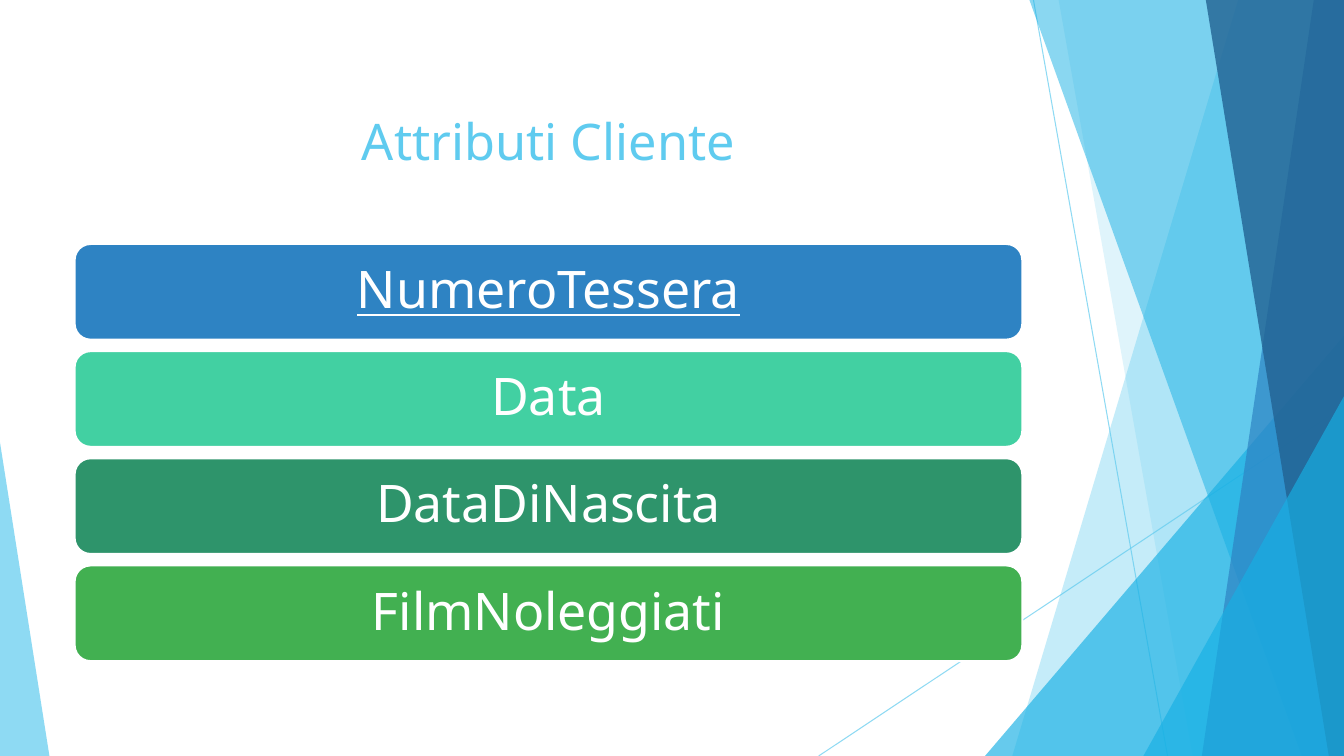
from typing import NamedTuple

from lxml.etree import SubElement
from pptx import Presentation
from pptx.dml.color import RGBColor
from pptx.enum.shapes import MSO_CONNECTOR as Connector, MSO_SHAPE as Shape
from pptx.enum.text import MSO_ANCHOR as Anchor, PP_ALIGN as Align
from pptx.oxml.ns import qn
from pptx.util import Inches, Pt

WIDTH, HEIGHT = 13.33, 7.5
SKY, CYAN, BLUE, NAVY, WHITE = "5FCBEF", "17B0E4", "2E83C3", "226292", "FFFFFF"


class Ray(NamedTuple):
    """A thin line across the background."""
    start: tuple[float, float]
    end: tuple[float, float]


class Band(NamedTuple):
    """A slanted band that runs from top to bottom along the right edge."""
    top: float
    bottom: float
    color: str
    opacity: int


class Corner(NamedTuple):
    """A right triangle standing on the bottom edge."""
    left: float
    top: float
    width: float
    apex: int
    color: str
    opacity: int


class Attribute(NamedTuple):
    """An attribute of the customer, shown as a bar."""
    label: str
    color: str
    is_key: bool = False


RAYS = [Ray((10.25, 0), (11.58, HEIGHT)), Ray((WIDTH, 4.03), (8.12, HEIGHT))]
DECORATION = [
    Band(12.28, 10.04, SKY, 36),
    Band(10.5, 11.83, SKY, 20),
    Corner(9.77, 3.33, 3.56, 1, CYAN, 66),
    Band(10.21, 12.91, CYAN, 50),
    Band(13.03, 11.92, BLUE, 70),
    Band(11.96, 13.18, NAVY, 80),
    Corner(11.34, 3.93, 1.99, 1, CYAN, 66),
    Corner(0, 4.39, 0.49, 0, SKY, 70),
]
ATTRIBUTES = [
    Attribute("NumeroTessera", BLUE, is_key=True),
    Attribute("Data", "42D0A2"),
    Attribute("DataDiNascita", "2E946B"),
    Attribute("FilmNoleggiati", "42B051"),
]
CONTENT_LEFT, CONTENT_WIDTH = 0.74, 9.4
BAR_TOP, BAR_HEIGHT, BAR_PITCH = 2.42, 0.95, 1.063


def paint(color_format, color: str, opacity: int = 100) -> None:
    """Apply a hex colour to a fill or line, with opacity in percent."""
    color_format.solid()
    color_format.fore_color.rgb = RGBColor.from_string(color)
    if opacity < 100:
        hue = color_format._xPr.find(qn("a:solidFill"))[0]
        SubElement(hue, qn("a:alpha"), val=str(opacity * 1000))


def write(shape, text: str, *, size: float, color: str, underline: bool = False,
          spacing: float = 1.0) -> None:
    """Put centred text into a shape."""
    frame = shape.text_frame
    frame.word_wrap = True
    frame.vertical_anchor = Anchor.MIDDLE
    paragraph = frame.paragraphs[0]
    paragraph.alignment = Align.CENTER
    paragraph.line_spacing = spacing
    run = paragraph.add_run()
    run.text = text
    run.font.name = "Noto Sans"
    run.font.size = Pt(size)
    run.font.underline = underline
    paint(run.font.fill, color)


def draw_ray(slide, ray: Ray) -> None:
    """Draw a translucent thin line."""
    ends = [Inches(value) for value in (*ray.start, *ray.end)]
    line = slide.shapes.add_connector(Connector.STRAIGHT, *ends)
    line.line.width = Pt(0.75)
    paint(line.line.fill, SKY, 70)
    SubElement(line._element.spPr, qn("a:effectLst"))


def draw_decoration(slide, part: Band | Corner) -> None:
    """Draw a translucent band or corner triangle."""
    if isinstance(part, Band):
        points = [(Inches(x), Inches(y)) for x, y in (
            (part.top, 0), (WIDTH, 0), (WIDTH, HEIGHT), (part.bottom, HEIGHT))]
        builder = slide.shapes.build_freeform(*points[0])
        builder.add_line_segments(points[1:], close=True)
        shape = builder.convert_to_shape()
    else:
        shape = slide.shapes.add_shape(
            Shape.ISOSCELES_TRIANGLE, Inches(part.left), Inches(part.top),
            Inches(part.width), Inches(HEIGHT - part.top))
        shape.adjustments[0] = part.apex
    shape.shadow.inherit = False
    shape.line.fill.background()
    paint(shape.fill, part.color, part.opacity)


def draw_attribute(slide, row: int, attribute: Attribute) -> None:
    """Draw an attribute bar in its row; the key is underlined."""
    bar = slide.shapes.add_shape(
        Shape.ROUNDED_RECTANGLE, Inches(CONTENT_LEFT),
        Inches(BAR_TOP + row * BAR_PITCH), Inches(CONTENT_WIDTH), Inches(BAR_HEIGHT))
    bar.shadow.inherit = False
    paint(bar.fill, attribute.color)
    paint(bar.line.fill, WHITE)
    bar.line.width = Pt(1.5)
    write(bar, attribute.label, size=37, color=WHITE,
          underline=attribute.is_key, spacing=0.9)


def main() -> None:
    """Build and save the slide."""
    deck = Presentation()
    deck.slide_width, deck.slide_height = Inches(WIDTH), Inches(HEIGHT)
    slide = deck.slides.add_slide(deck.slide_layouts[5])
    for ray in RAYS:
        draw_ray(slide, ray)
    for part in DECORATION:
        draw_decoration(slide, part)
    title = slide.shapes.title
    title.left, title.top = Inches(CONTENT_LEFT), Inches(0.67)
    title.width, title.height = Inches(CONTENT_WIDTH), Inches(1.44)
    write(title, "Attributi Cliente", size=36, color=SKY)
    for row, attribute in enumerate(ATTRIBUTES):
        draw_attribute(slide, row, attribute)
    deck.save("out.pptx")


main()
